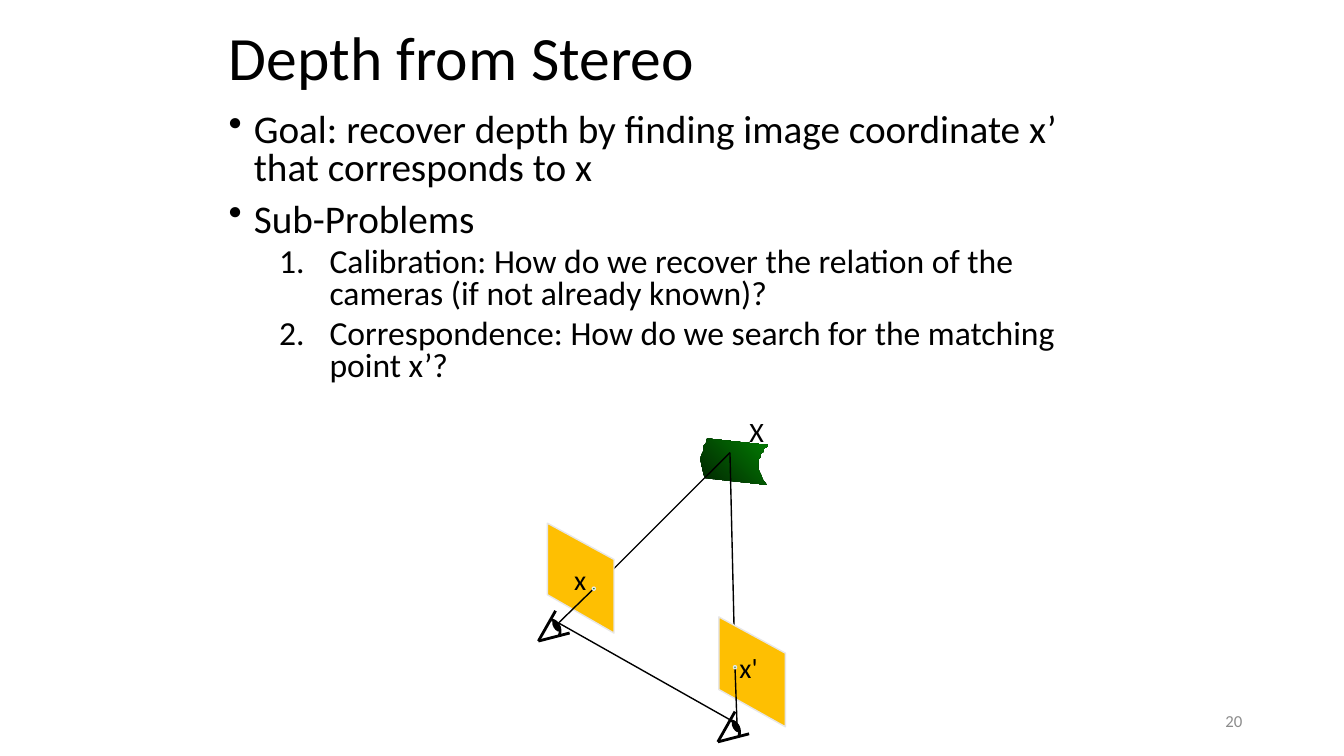
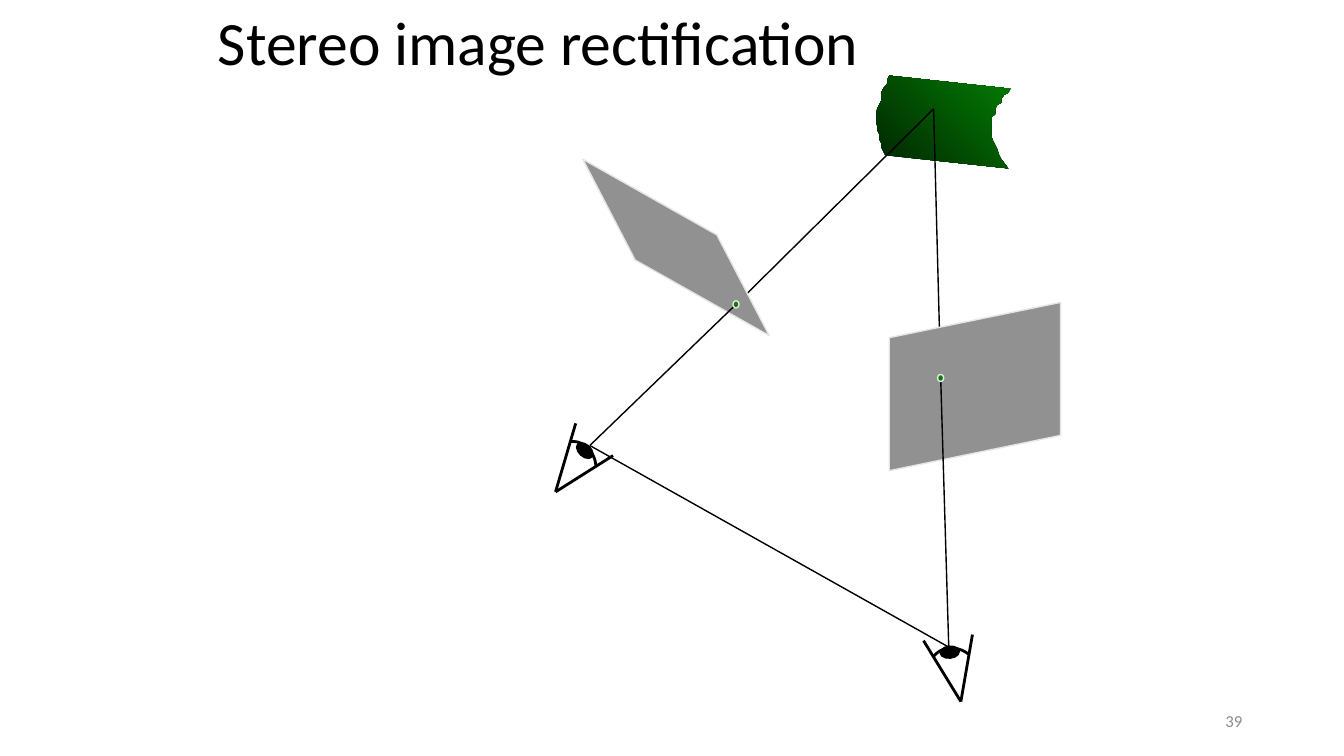
import math

import pptx
import pptx.dml.color
import pptx.enum.shapes
import pptx.enum.text
import pptx.oxml.xmlchemy
import pptx.util
from lxml import etree
from pptx.util import Inches

FONT = "Calibri"
COLORS = {"ink": "000000", "number": "8C8C8C", "edge": "E7E6E6", "dark": "012501",
          "green": "037C03", "amber": "FEBF02", "gray": "919191"}
DRAWING = "http://schemas.openxmlformats.org/drawingml/2006/main"
ALIGN = pptx.enum.text.PP_ALIGN
ANCHOR = pptx.enum.text.MSO_ANCHOR

# Body text: (text, level)
BODY = [
    ("Goal: recover depth by finding image coordinate x’ that corresponds to x", 0),
    ("Sub-Problems", 0),
    ("Calibration: How do we recover the relation of the cameras (if not already known)?", 1),
    ("Correspondence: How do we search for the matching point x’?", 1),
]
LEVELS = [
    {"size": 28, "before": 10, "left": 0.25, "hanging": 0.25, "bullet": ("buChar", "char", "•")},
    {"size": 24, "before": 5, "left": 1, "hanging": 0.5,
     "bullet": ("buAutoNum", "type", "arabicPeriod")},
]

# Curved surface patch, full size, from its top left corner
SURFACE = [
    (0.13, 0), (0.11, 0.04), (0.11, 0.08), (0.07, 0.13), (0.05, 0.17), (0.05, 0.25),
    (0.03, 0.29), (0.01, 0.33), (0, 0.38), (0, 0.46), (0.01, 0.5), (0.01, 0.54),
    (0.03, 0.58), (0.03, 0.63), (0.05, 0.67), (0.05, 0.71), (0.07, 0.75), (0.09, 0.79),
    (1.31, 0.92), (1.24, 0.83), (1.22, 0.79), (1.2, 0.73), (1.18, 0.69), (1.16, 0.65),
    (1.14, 0.6), (1.14, 0.42), (1.18, 0.38), (1.18, 0.33), (1.2, 0.29), (1.24, 0.27),
    (1.24, 0.23), (1.27, 0.19), (1.31, 0.17), (1.33, 0.13),
]

# Eyes, measured from the corner where the two lids meet
SMALL_EYE = {"lids": [(0.17, -0.3), (0.31, -0.08)],
             "cornea": [(0.13, -0.21), (0.19, -0.2), (0.23, -0.13), (0.21, -0.06)],
             "pupil": (0.18, -0.15), "pupil_size": (0.05, 0.11), "pupil_turn": 329}
LARGE_EYE = {"lids": [(0.2, -0.68), (0.57, -0.36)],
             "cornea": [(0.15, -0.5), (0.28, -0.51), (0.39, -0.4), (0.4, -0.26)],
             "pupil": (0.29, -0.41), "pupil_size": (0.12, 0.19), "pupil_turn": 312.5}

# Each camera: centre, image point, image plane, eye corner, eye turn
SLIDES = [
    {"title": "Depth from Stereo", "title_at": (2.17, -0.02), "number": "20", "body": BODY,
     "surface": (6.95, 4.35), "scale": 0.5, "world": (7.24, 4.49),
     "plane_color": "amber", "eye": SMALL_EYE, "dot": (0.03, 0.03),
     "cameras": [
         {"center": (5.54, 6.18), "image": (5.89, 5.84), "corner": (5.34, 6.36), "turn": 0,
          "plane": [(5.43, 5.9), (6.09, 6.28), (6.09, 5.55), (5.43, 5.19)]},
         {"center": (7.31, 7.18), "image": (7.29, 6.62), "corner": (7.12, 7.36), "turn": 0,
          "plane": [(7.13, 6.84), (7.79, 7.21), (7.79, 6.48), (7.13, 6.12)]},
     ],
     "labels": [("X", 7.25, 4.06), ("x", 5.5, 5.53), ("x'", 7.17, 6.4)]},
    {"title": "Stereo image rectification", "title_at": (2.06, -0.17), "number": "39", "body": [],
     "surface": (8.69, 0.75), "scale": 1, "world": (9.26, 1.08),
     "plane_color": "gray", "eye": LARGE_EYE, "dot": (0.06, 0.07),
     "cameras": [
         {"center": (5.85, 4.42), "image": (7.3, 3.02), "corner": (5.51, 4.88), "turn": 0,
          "plane": [(6.3, 2.58), (7.63, 3.33), (7.11, 2.33), (5.78, 1.58)]},
         {"center": (9.41, 6.42), "image": (9.33, 3.75), "corner": (9.53, 6.96), "turn": -47.9,
          "plane": [(8.82, 3.35), (8.82, 4.67), (10.52, 4.32), (10.52, 3)]},
     ],
     "labels": []},
]


def rgb(name):
    return pptx.dml.color.RGBColor.from_string(COLORS[name])


def place(shape, left, top, width, height):
    shape.left, shape.top = Inches(left), Inches(top)
    shape.width, shape.height = Inches(width), Inches(height)


def write(paragraph, text, size=20, color="ink", align=ALIGN.LEFT, spacing=None, before=None):
    paragraph.text = text
    paragraph.alignment = align
    if spacing:
        paragraph.line_spacing = spacing
    if before:
        paragraph.space_before = pptx.util.Pt(before)
    font = paragraph.runs[0].font
    font.name, font.size, font.color.rgb = FONT, pptx.util.Pt(size), rgb(color)


def add_box(slide, left, top, width, height, anchor=ANCHOR.MIDDLE):
    box = slide.shapes.add_textbox(0, 0, 0, 0)
    place(box, left, top, width, height)
    box.text_frame.word_wrap = True
    box.text_frame.vertical_anchor = anchor
    return box.text_frame


def add_bullet(paragraph, left, hanging, bullet):
    properties = paragraph._p.get_or_add_pPr()
    properties.set("marL", str(Inches(left)))
    properties.set("indent", str(-Inches(hanging)))
    tag, attribute, value = bullet
    etree.SubElement(properties, f"{{{DRAWING}}}{tag}").set(attribute, value)


def style(shape, fill=None, line=None, width=1):
    shape.shadow.inherit = False
    if fill:
        shape.fill.solid()
        shape.fill.fore_color.rgb = rgb(fill)
    else:
        shape.fill.background()
    if line:
        shape.line.color.rgb = rgb(line)
        shape.line.width = pptx.util.Pt(width)
    else:
        shape.line.fill.background()


def add_line(slide, start, end, width=1):
    ends = [Inches(value) for value in (*start, *end)]
    line = slide.shapes.add_connector(pptx.enum.shapes.MSO_CONNECTOR.STRAIGHT, *ends)
    line.line.color.rgb = rgb("ink")
    line.line.width = pptx.util.Pt(width)
    etree.SubElement(line._element.spPr, f"{{{DRAWING}}}effectLst")


def add_outline(slide, points, close=True, **look):
    corners = [(Inches(x), Inches(y)) for x, y in points]
    builder = slide.shapes.build_freeform(*corners[0])
    builder.add_line_segments(corners[1:], close=close)
    shape = builder.convert_to_shape()
    style(shape, **look)
    return shape


def add_ellipse(slide, center, size, turn=0, **look):
    shape = slide.shapes.add_shape(pptx.enum.shapes.MSO_SHAPE.OVAL, 0, 0, 0, 0)
    place(shape, center[0] - size[0] / 2, center[1] - size[1] / 2, *size)
    shape.rotation = turn
    style(shape, **look)


def curve(points, steps=12):
    """Points along a cubic Bezier curve."""
    weights = [(1, 3, 3, 1)[i] for i in range(4)]
    return [tuple(sum(weights[i] * (1 - t) ** (3 - i) * t ** i * points[i][axis]
                      for i in range(4)) for axis in (0, 1))
            for t in (step / steps for step in range(steps + 1))]


def add_eye(slide, eye, corner, turn):
    cosine, sine = math.cos(math.radians(turn)), math.sin(math.radians(turn))

    def turned(point):
        x, y = point
        return corner[0] + x * cosine - y * sine, corner[1] + x * sine + y * cosine

    cornea = [turned(point) for point in curve(eye["cornea"])]
    add_outline(slide, cornea, close=False, line="ink", width=2)
    for lid in eye["lids"]:
        add_line(slide, corner, turned(lid), width=2)
    add_ellipse(slide, turned(eye["pupil"]), eye["pupil_size"], eye["pupil_turn"] + turn,
                fill="ink", line="ink")


def add_scene(slide, scene):
    # Surface patch
    left, top = scene["surface"]
    scale = scene["scale"]
    surface = add_outline(slide, [(left + x * scale, top + y * scale) for x, y in SURFACE])
    surface.fill.gradient()
    surface.fill.gradient_angle = 45
    for stop, color in zip(surface.fill.gradient_stops, ("dark", "green")):
        stop.color.rgb = rgb(color)

    # Baseline, then each ray passing behind and in front of its image plane
    cameras = scene["cameras"]
    add_line(slide, *(camera["center"] for camera in cameras))
    for camera in cameras:
        add_line(slide, camera["image"], scene["world"])
        add_outline(slide, camera["plane"], fill=scene["plane_color"], line="edge")
        add_line(slide, camera["center"], camera["image"])

    # Eyes and image points
    for camera in cameras:
        add_eye(slide, scene["eye"], camera["corner"], camera["turn"])
        add_ellipse(slide, camera["image"], scene["dot"], fill="green", line="edge")
    for text, x, y in scene["labels"]:
        write(add_box(slide, x, y, 0.51, 0.44).paragraphs[0], text, align=ALIGN.CENTER)


def add_body(slide, items):
    frame = add_box(slide, 2.17, 1.08, 9, 2.92, ANCHOR.TOP)
    for index, (text, level) in enumerate(items):
        paragraph = frame.add_paragraph() if index else frame.paragraphs[0]
        look = LEVELS[level]
        paragraph.level = level
        add_bullet(paragraph, look["left"], look["hanging"], look["bullet"])
        write(paragraph, text, size=look["size"], spacing=0.8,
              before=look["before"] if index else None)


def add_slide(presentation, content):
    slide = presentation.slides.add_slide(presentation.slide_layouts[5])
    title = slide.shapes.title
    place(title, *content["title_at"], 9, 1.25)
    title.text_frame.vertical_anchor = ANCHOR.MIDDLE
    title.text_frame.auto_size = pptx.enum.text.MSO_AUTO_SIZE.NONE
    write(title.text_frame.paragraphs[0], content["title"], size=44, spacing=0.9)
    if content["body"]:
        add_body(slide, content["body"])
    add_scene(slide, content)
    number = add_box(slide, 9.42, 6.95, 3, 0.4).paragraphs[0]
    write(number, content["number"], size=12, color="number", align=ALIGN.RIGHT)


def main():
    presentation = pptx.Presentation()
    presentation.slide_width, presentation.slide_height = Inches(13.33), Inches(7.5)
    for content in SLIDES:
        add_slide(presentation, content)
    presentation.save("out.pptx")


if __name__ == "__main__":
    main()
